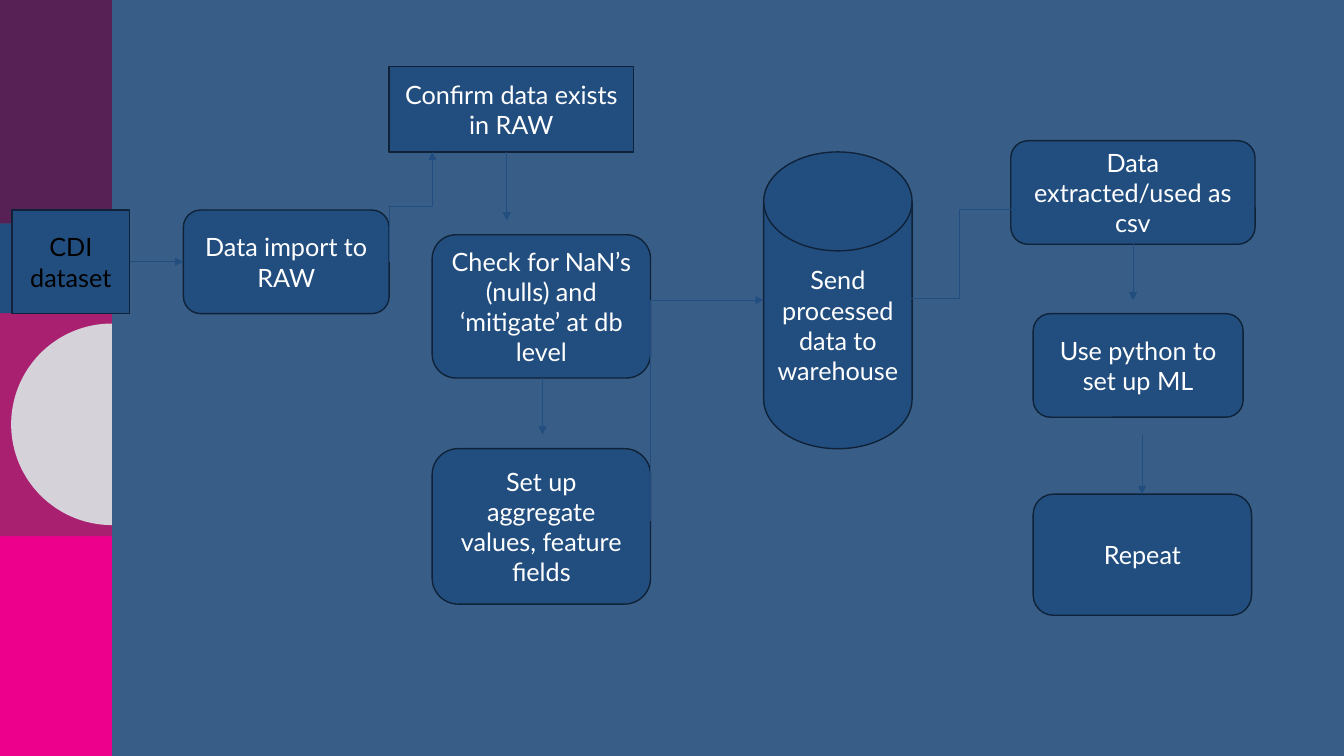
from dataclasses import dataclass
from math import cos, pi, sin

from lxml.etree import SubElement
from pptx import Presentation
from pptx.dml.color import RGBColor
from pptx.enum.shapes import MSO_CONNECTOR, MSO_SHAPE
from pptx.enum.text import MSO_ANCHOR, PP_ALIGN
from pptx.oxml.ns import qn
from pptx.util import Pt


@dataclass(frozen=True)
class Theme:
    back: str = "385E88"
    fill: str = "224E7F"
    edge: str = "0F2238"
    light: str = "FFFFFF"
    dark: str = "000000"
    pink: str = "EC008C"
    berry: str = "AA2070"
    plum: str = "582156"
    moon: str = "D5D2DA"
    font: str = "Lato"
    size: float = 18
    rule: float = 0.5
    frame: float = 1


class Flow:
    def __init__(self, slide, theme):
        self.slide = slide
        self.theme = theme
        fill = slide.background.fill
        fill.solid()
        fill.fore_color.rgb = RGBColor.from_string(theme.back)

    def paint(self, shape, color):
        shape.shadow.inherit = False
        shape.fill.solid()
        shape.fill.fore_color.rgb = RGBColor.from_string(color)
        shape.line.fill.background()

    def band(self, top, width, height, color):
        shape = self.slide.shapes.add_shape(
            MSO_SHAPE.RECTANGLE, 0, Pt(top), Pt(width), Pt(height))
        self.paint(shape, color)

    def moon(self, x, y, radius, color, steps=60):
        """Left half of a disc centred on x, y."""
        turns = [pi / 2 + pi * i / steps for i in range(steps + 1)]
        dots = [(Pt(x + radius * cos(t)), Pt(y + radius * sin(t)))
                for t in turns]
        path = self.slide.shapes.build_freeform(*dots[0])
        path.add_line_segments(dots[1:], close=True)
        self.paint(path.convert_to_shape(), color)

    def box(self, kind, place, text, ink):
        shape = self.slide.shapes.add_shape(kind, *map(Pt, place))
        self.paint(shape, self.theme.fill)
        shape.line.color.rgb = RGBColor.from_string(self.theme.edge)
        shape.line.width = Pt(self.theme.frame)
        frame = shape.text_frame
        frame.word_wrap = True
        frame.vertical_anchor = MSO_ANCHOR.MIDDLE
        para = frame.paragraphs[0]
        para.text = text
        para.alignment = PP_ALIGN.CENTER
        para.font.name = self.theme.font
        para.font.size = Pt(self.theme.size)
        para.font.color.rgb = RGBColor.from_string(ink)

    def link(self, kind, x1, y1, x2, y2):
        line = self.slide.shapes.add_connector(
            kind, Pt(x1), Pt(y1), Pt(x2), Pt(y2))
        line.line.color.rgb = RGBColor.from_string(self.theme.fill)
        line.line.width = Pt(self.theme.rule)
        props = line._element.spPr
        SubElement(props.find(qn("a:ln")), qn("a:tailEnd"), type="triangle")
        SubElement(props, qn("a:effectLst"))
        return props

    def arrow(self, x1, y1, x2, y2):
        self.link(MSO_CONNECTOR.STRAIGHT, x1, y1, x2, y2)

    def bend(self, x1, y1, x2, y2):
        """Elbow that leaves sideways."""
        self.link(MSO_CONNECTOR.ELBOW, x1, y1, x2, y2)

    def climb(self, x1, y1, x2, y2, preset):
        """Elbow that leaves vertically: a quarter turn about its centre."""
        x, y = (x1 + x2) / 2, (y1 + y2) / 2
        dx, dy = x1 - x, y1 - y
        props = self.link(MSO_CONNECTOR.ELBOW, x + dy, y - dx, x - dy, y + dx)
        props.find(qn("a:xfrm")).set("rot", str(90 * 60000))
        props.find(qn("a:prstGeom")).set("prst", preset)


def main():
    deck = Presentation()
    deck.slide_width, deck.slide_height = Pt(960), Pt(540)
    theme = Theme()
    flow = Flow(deck.slides.add_slide(deck.slide_layouts[6]), theme)

    # Side strip
    for top, height, color in (
            (380.2, 159.8, theme.pink), (223.2, 159.8, theme.berry),
            (0, 159.8, theme.plum), (159.8, 64, theme.fill)):
        flow.band(top, 80, height, color)
    flow.moon(80, 303.1, 72, theme.moon)

    # Steps
    rect, soft = MSO_SHAPE.RECTANGLE, MSO_SHAPE.ROUNDED_RECTANGLE
    disk = MSO_SHAPE.FLOWCHART_MAGNETIC_DISK
    for kind, place, text, ink in (
            (rect, (8.6, 150, 84, 74), "CDI dataset", theme.dark),
            (soft, (131, 150, 147, 74), "Data import to RAW", theme.light),
            (rect, (278, 47.5, 174.5, 61), "Confirm data exists in RAW",
             theme.light),
            (soft, (308.7, 167.7, 156, 102.3),
             "Check for NaN’s (nulls) and ‘mitigate’ at db level",
             theme.light),
            (soft, (308.7, 320.5, 156, 111),
             "Set up aggregate values, feature fields", theme.light),
            (disk, (545.5, 108.5, 106, 212),
             "Send processed data to warehouse", theme.light),
            (soft, (722, 100.5, 174.5, 74), "Data extracted/used as csv",
             theme.light),
            (soft, (738, 224, 150, 74), "Use python to set up ML",
             theme.light),
            (soft, (738, 353, 156, 86.5), "Repeat", theme.light)):
        flow.box(kind, place, text, ink)

    # Straight arrows
    for ends in ((92.6, 187, 131, 187), (362, 108.5, 362, 157.5),
                 (387.5, 270, 387.5, 310.5), (809.3, 174.5, 809.3, 214.5),
                 (815.8, 311, 815.8, 353)):
        flow.arrow(*ends)

    # Elbow arrows
    flow.climb(278, 187, 308.7, 108.5, "bentConnector3")
    flow.climb(464.7, 372, 545.5, 214.5, "bentConnector2")
    flow.bend(636.5, 213, 734, 149.7)

    deck.save("out.pptx")


if __name__ == "__main__":
    main()
